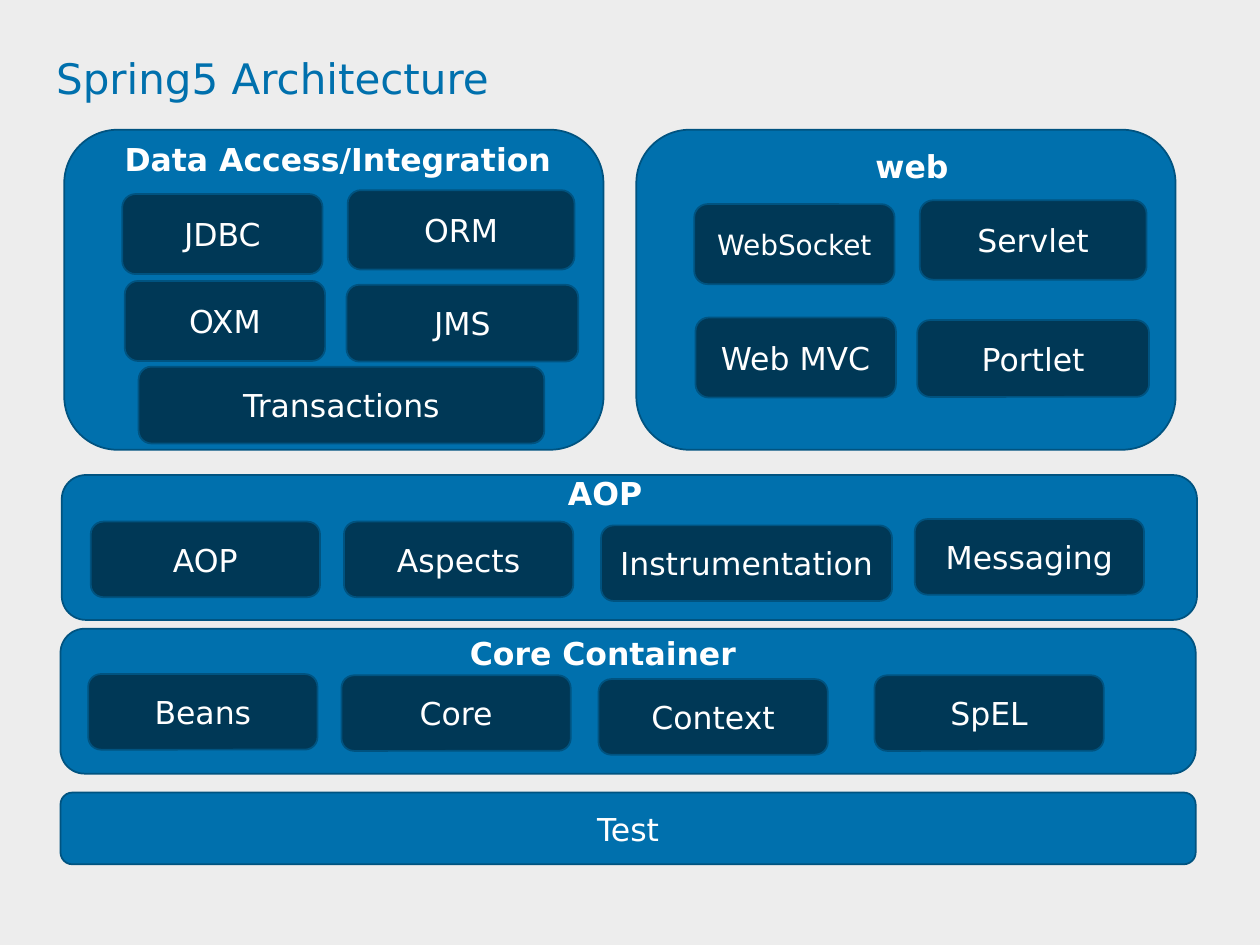
from dataclasses import dataclass

from pptx import Presentation
from pptx.dml.color import RGBColor
from pptx.enum.shapes import MSO_SHAPE
from pptx.enum.text import MSO_ANCHOR, PP_ALIGN
from pptx.util import Inches, Pt

ROUND = MSO_SHAPE.ROUNDED_RECTANGLE
TOP, MIDDLE = MSO_ANCHOR.TOP, MSO_ANCHOR.MIDDLE
LEFT, CENTER = PP_ALIGN.LEFT, PP_ALIGN.CENTER
COLS, ROWS = 100, 75


@dataclass(frozen=True)
class Theme:
    font: str = "DejaVu Sans"
    back: str = "EDEDED"
    panel: str = "0070AD"
    block: str = "003856"
    edge: str = "005380"
    light: str = "FFFFFF"
    title: int = 24
    body: int = 18
    small: int = 16


class Board:
    def __init__(self, deck, theme):
        self.theme = theme
        self.col = deck.slide_width / COLS
        self.row = deck.slide_height / ROWS
        self.slide = deck.slides.add_slide(deck.slide_layouts[5])
        self.paint(self.slide.background.fill, theme.back)

    def paint(self, fill, color):
        fill.solid()
        fill.fore_color.rgb = RGBColor.from_string(color)

    def area(self, x, y, w, h):
        return (round(x * self.col), round(y * self.row),
                round(w * self.col), round(h * self.row))

    def label(self, frame, text, size, color, align, bold=False):
        para = frame.paragraphs[0]
        para.alignment = align
        run = para.add_run()
        run.text = text
        run.font.name = self.theme.font
        run.font.size = Pt(size)
        run.font.bold = bold
        run.font.color.rgb = RGBColor.from_string(color)
        return para

    def title(self, text, box):
        shape = self.slide.shapes.title
        shape.left, shape.top, shape.width, shape.height = self.area(*box)
        frame = shape.text_frame
        frame.margin_left = frame.margin_right = 0
        frame.margin_top = frame.margin_bottom = 0
        frame.vertical_anchor = TOP
        para = self.label(frame, text, self.theme.title, self.theme.panel, LEFT)
        para.line_spacing = 0.9

    def block(self, box, color, text="", size=None):
        shape = self.slide.shapes.add_shape(ROUND, *self.area(*box))
        shape.shadow.inherit = False
        self.paint(shape.fill, color)
        self.paint(shape.line.fill, self.theme.edge)
        shape.line.width = Pt(1)
        if text:
            frame = shape.text_frame
            frame.vertical_anchor = MIDDLE
            self.label(frame, text, size or self.theme.body,
                       self.theme.light, CENTER)

    def head(self, text, box):
        frame = self.slide.shapes.add_textbox(*self.area(*box)).text_frame
        frame.word_wrap = True
        frame.margin_right = Inches(0)
        self.label(frame, text, self.theme.body, self.theme.light, LEFT, True)

    def panel(self, box, head, spot, parts):
        left, top = box[:2]
        self.block(box, self.theme.panel)
        for text, x, y, w, h, *size in parts:
            self.block((left + x, top + y, w, h), self.theme.block, text, *size)
        x, y, w = spot
        self.head(head, (left + x, top + y, w, 4))


def main():
    deck = Presentation()
    deck.slide_width, deck.slide_height = Inches(10), Inches(7.5)
    theme = Theme()
    board = Board(deck, theme)
    board.title(" Spring5 Architecture", (3.4, 4.6, 73.2, 4.6))

    wide, tall = (90.1, 11.5), (42.8, 25.4)
    cell = (18.2, 6)
    near, far = (15.9, 6.35), (18.4, 6.1)
    board.block((4.8, 62.9, wide[0], 5.7), theme.panel, "Test")
    board.panel((4.8, 49.9, *wide), "Core Container", (31.5, -0.1, 23.2), [
        ("Beans", 2.2, 3.6, *cell),
        ("Core", 22.3, 3.7, *cell),
        ("Context", 42.7, 4, *cell),
        ("SpEL", 64.6, 3.7, *cell),
    ])
    board.panel((4.9, 37.7, *wide), "AOP", (39.2, -0.6, 8), [
        ("AOP", 2.3, 3.7, *cell),
        ("Aspects", 22.4, 3.7, *cell),
        ("Instrumentation", 42.8, 4, 23.1, 6),
        ("Messaging", 67.7, 3.5, *cell),
    ])
    board.panel((5.1, 10.3, *tall), "Data Access/Integration", (3.8, 0.3, 38.6), [
        ("JDBC", 4.6, 5.1, *near),
        ("ORM", 22.5, 4.8, 18, 6.3),
        ("OXM", 4.8, 12, *near),
        ("JMS", 22.4, 12.3, *far),
        ("Transactions", 5.9, 18.8, 32.2, 6.1),
    ])
    board.panel((50.5, 10.3, *tall), "web", (18, 0.9, 13.6), [
        ("WebSocket", 4.6, 5.9, *near, theme.small),
        ("Servlet", 22.5, 5.6, 18, 6.3),
        ("Web MVC", 4.7, 14.9, *near),
        ("Portlet", 22.3, 15.1, *far),
    ])
    deck.save("out.pptx")


if __name__ == "__main__":
    main()
